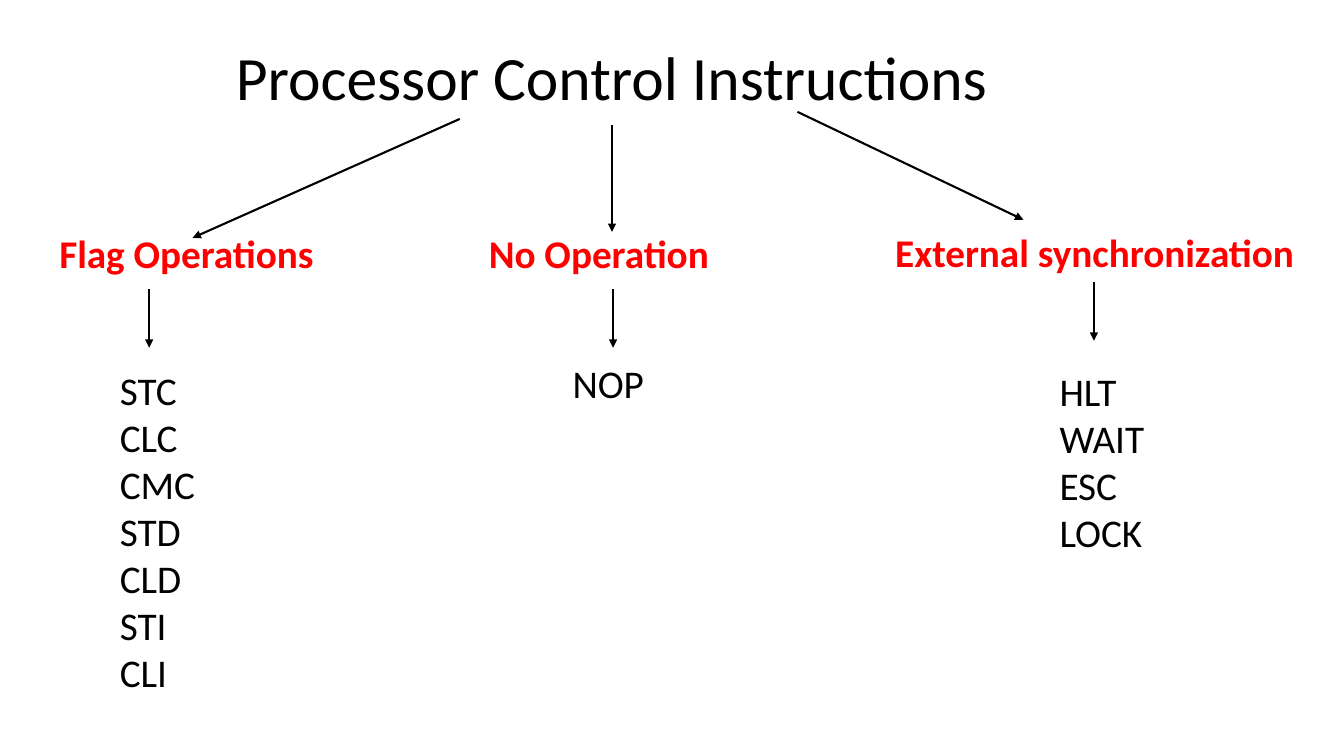
from dataclasses import dataclass

from lxml import etree
from pptx import Presentation
from pptx.dml.color import RGBColor
from pptx.enum.shapes import MSO_CONNECTOR
from pptx.oxml.ns import qn
from pptx.slide import Slide
from pptx.util import Inches, Pt

STRAIGHT = MSO_CONNECTOR.STRAIGHT
BLACK = RGBColor(0x00, 0x00, 0x00)
RED = RGBColor(0xFF, 0x00, 0x00)
FONT = "Calibri"
TITLE_SIZE = 44
BODY_SIZE = 28
HEADING_HEIGHT = 0.57
LINE_HEIGHT = 0.47
BOX_PADDING = 0.1
DROP_LENGTH = 0.58

Point = tuple[float, float]


@dataclass(frozen=True)
class Category:
    heading: str
    heading_at: Point
    heading_width: float
    branch_from: Point
    branch_to: Point
    drop_from: Point
    codes: tuple[str, ...]
    codes_at: Point
    codes_width: float


CATEGORIES = (
    Category("Flag Operations", (0.49, 2.23), 3.16, (4.56, 1.18), (1.91, 2.36),
             (1.48, 2.87), ("STC", "CLC", "CMC", "STD", "CLD", "STI", "CLI"),
             (1.09, 3.58), 0.98),
    Category("No Operation", (4.75, 2.23), 3.16, (6.07, 1.24), (6.07, 2.3),
             (6.08, 2.87), ("NOP",), (5.58, 3.52), 0.98),
    Category("External synchronization", (8.78, 2.22), 4.25, (7.91, 1.11), (10.15, 2.18),
             (10.85, 2.8), ("HLT", "WAIT", "ESC", "LOCK"), (10.41, 3.59), 1.19),
)


def add_text(page: Slide, lines: tuple[str, ...], at: Point, width: float, height: float,
             size: int = BODY_SIZE, color: RGBColor = BLACK, bold: bool = False) -> None:
    box = page.shapes.add_textbox(Inches(at[0]), Inches(at[1]), Inches(width), Inches(height))
    frame = box.text_frame
    frame.word_wrap = True
    frame.text = "\n".join(lines)
    for para in frame.paragraphs:
        para.font.name = FONT
        para.font.size = Pt(size)
        para.font.bold = bold
        para.font.color.rgb = color


def add_arrow(page: Slide, start: Point, end: Point) -> None:
    arrow = page.shapes.add_connector(
        STRAIGHT, Inches(start[0]), Inches(start[1]), Inches(end[0]), Inches(end[1]))
    arrow.line.color.rgb = BLACK
    arrow.line.width = Pt(1.5)
    etree.SubElement(arrow.line._get_or_add_ln(), qn("a:tailEnd"), type="triangle")
    etree.SubElement(arrow._element.spPr, qn("a:effectLst"))


def add_category(page: Slide, category: Category) -> None:
    add_text(page, (category.heading,), category.heading_at, category.heading_width,
             HEADING_HEIGHT, color=RED, bold=True)
    add_arrow(page, category.branch_from, category.branch_to)
    left, top = category.drop_from
    add_arrow(page, category.drop_from, (left, top + DROP_LENGTH))
    add_text(page, category.codes, category.codes_at, category.codes_width,
             LINE_HEIGHT * len(category.codes) + BOX_PADDING)


# Slide
deck = Presentation()
deck.slide_width = Inches(13.33)
deck.slide_height = Inches(7.5)
page = deck.slides.add_slide(deck.slide_layouts[6])

# Title
add_text(page, ("Processor Control Instructions",), (2.24, 0.34), 8.86, 0.84, TITLE_SIZE)

# Instruction categories
for category in CATEGORIES:
    add_category(page, category)

deck.save("out.pptx")
